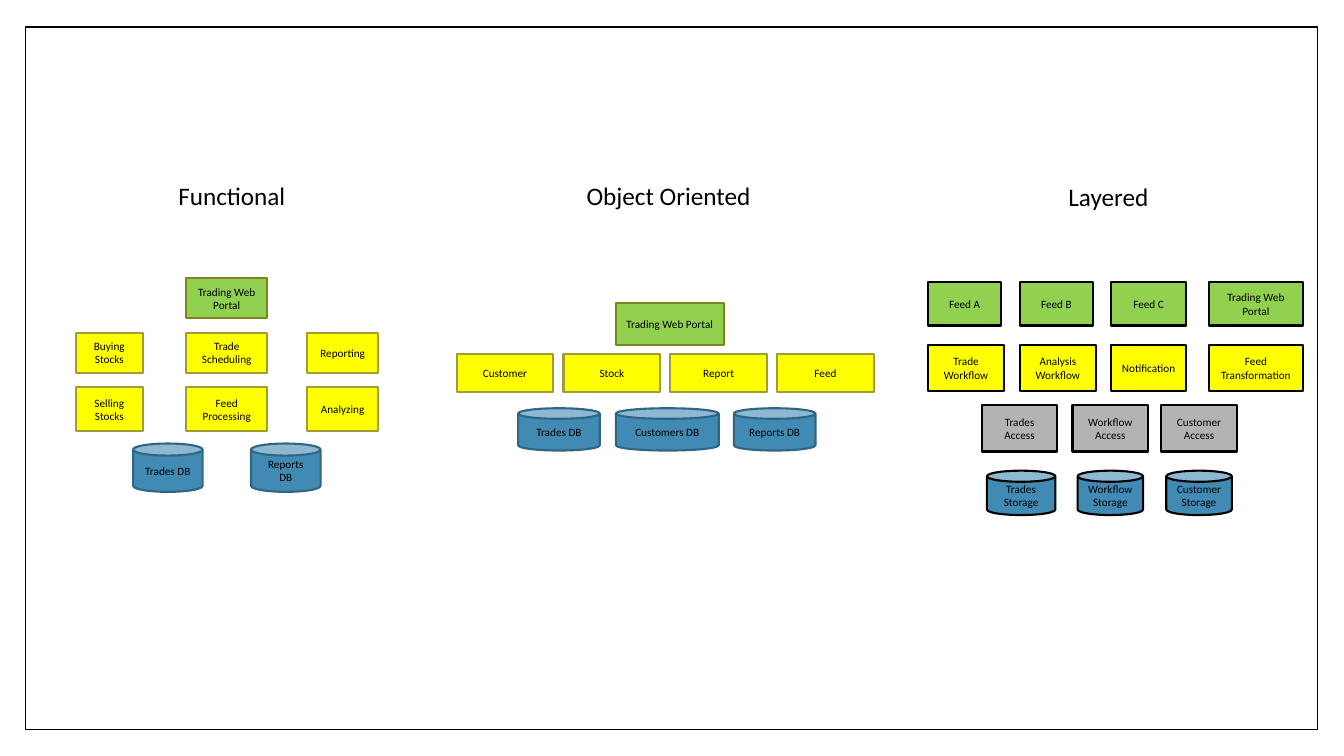
from dataclasses import dataclass

from pptx import Presentation
from pptx.dml.color import RGBColor
from pptx.enum.shapes import MSO_SHAPE
from pptx.enum.text import MSO_ANCHOR, MSO_AUTO_SIZE, PP_ALIGN
from pptx.shapes.autoshape import Shape
from pptx.slide import Slide
from pptx.text.text import TextFrame
from pptx.util import Inches, Pt

RECTANGLE = MSO_SHAPE.RECTANGLE
CYLINDER = MSO_SHAPE.CAN
MIDDLE = MSO_ANCHOR.MIDDLE
FIT_SHAPE = MSO_AUTO_SIZE.SHAPE_TO_FIT_TEXT
LEFT = PP_ALIGN.LEFT
CENTER = PP_ALIGN.CENTER

BLACK = RGBColor(0x00, 0x00, 0x00)
WHITE = RGBColor(0xFF, 0xFF, 0xFF)
GREEN = RGBColor(0x92, 0xD0, 0x50)
YELLOW = RGBColor(0xFF, 0xFF, 0x00)
GRAY = RGBColor(0xB3, 0xB3, 0xB5)
BLUE = RGBColor(0x41, 0x8A, 0xB3)
DARK_GREEN = RGBColor(0x7B, 0x87, 0x1D)
DARK_YELLOW = RGBColor(0x9F, 0x9D, 0x35)
DARK_BLUE = RGBColor(0x30, 0x66, 0x84)

FONT = "Calibri"
COLUMN = ROW = Inches(0.1)
COLUMNS, ROWS = 133.33, 75


@dataclass(frozen=True)
class Style:
    fill: RGBColor
    line: RGBColor
    geometry: MSO_SHAPE = RECTANGLE
    line_width: float = 1.5


@dataclass(frozen=True)
class Span:
    left: float
    width: float


@dataclass(frozen=True)
class Layer:
    top: float
    height: float
    style: Style
    spans: list[Span]
    labels: list[str]


@dataclass(frozen=True)
class Heading:
    text: str
    left: float
    top: float
    width: float


FRAME = Style(WHITE, BLACK, line_width=1)
PORTAL = Style(GREEN, DARK_GREEN)
SERVICE = Style(YELLOW, DARK_YELLOW)
DATABASE = Style(BLUE, DARK_BLUE, CYLINDER)
CLIENT = Style(GREEN, BLACK)
MANAGER = Style(YELLOW, BLACK)
ACCESS = Style(GRAY, BLACK)
STORAGE = Style(BLUE, BLACK, CYLINDER)

FUNCTION_SPANS = [Span(7.5, 6.7), Span(18.5, 8), Span(30.5, 7)]
OBJECT_SPANS = [Span(45.3 + 10.6 * index, 9.6) for index in range(4)]
ACCESS_SPANS = [Span(left, 7.5) for left in (97.4, 106.4, 115.2)]

LAYERS = [
    Layer(27.6, 4, PORTAL, FUNCTION_SPANS[1:2], ["Trading Web Portal"]),
    Layer(33, 4, SERVICE, FUNCTION_SPANS,
          ["Buying Stocks", "Trade Scheduling", "Reporting"]),
    Layer(38.4, 4.4, SERVICE, FUNCTION_SPANS,
          ["Selling Stocks", "Feed Processing", "Analyzing"]),
    Layer(44, 4.8, DATABASE, [Span(13.2, 6.9), Span(24.9, 6.9)],
          ["Trades DB", "Reports DB"]),
    Layer(30.1, 4.1, PORTAL, [Span(61.1, 10.7)], ["Trading Web Portal"]),
    Layer(35.1, 3.8, SERVICE, OBJECT_SPANS,
          ["Customer", "Stock", "Report", "Feed"]),
    Layer(40.5, 4.2, DATABASE,
          [Span(51.4, 8.1), Span(61.1, 10.2), Span(72.8, 8.1)],
          ["Trades DB", "Customers DB", "Reports DB"]),
    Layer(28, 4.3, CLIENT,
          [Span(92.1, 7.2), Span(101.2, 7.2), Span(110.2, 7.5), Span(119.9, 9.4)],
          ["Feed A", "Feed B", "Feed C", "Trading Web Portal"]),
    Layer(34.2, 4.6, MANAGER,
          [Span(92.1, 7.5), Span(101.2, 7.5), Span(110.2, 7.5), Span(119.9, 9.4)],
          ["Trade Workflow", "Analysis Workflow", "Notification", "Feed Transformation"]),
    Layer(40.2, 4.6, ACCESS, ACCESS_SPANS,
          ["Trades Access", "Workflow Access", "Customer Access"]),
    Layer(46.7, 4.4, STORAGE,
          [Span(97.9, 6.8), Span(106.9, 6.5), Span(115.7, 6.5)],
          ["Trades\nStorage", "Workflow\nStorage", "Customer\nStorage"]),
]

HEADINGS = [
    Heading("Functional", 16.7, 17.4, 15.1),
    Heading("Object Oriented", 57.2, 17.4, 18.9),
    Heading("Layered", 105, 17.5, 18.9),
]


def write_text(frame: TextFrame, text: str, size: float, alignment: PP_ALIGN) -> None:
    frame.word_wrap = True
    for index, line in enumerate(text.split("\n")):
        paragraph = frame.add_paragraph() if index else frame.paragraphs[0]
        paragraph.alignment = alignment
        run = paragraph.add_run()
        run.text = line
        run.font.name = FONT
        run.font.size = Pt(size)
        run.font.color.rgb = BLACK


def add_block(slide: Slide, span: Span, top: float, height: float, style: Style) -> Shape:
    shape = slide.shapes.add_shape(
        style.geometry, round(span.left * COLUMN), round(top * ROW),
        round(span.width * COLUMN), round(height * ROW))
    shape.shadow.inherit = False
    shape.fill.solid()
    shape.fill.fore_color.rgb = style.fill
    shape.line.color.rgb = style.line
    shape.line.width = Pt(style.line_width)
    return shape


def add_layer(slide: Slide, layer: Layer) -> None:
    for span, label in zip(layer.spans, layer.labels):
        shape = add_block(slide, span, layer.top, layer.height, layer.style)
        shape.text_frame.vertical_anchor = MIDDLE
        write_text(shape.text_frame, label, 8, CENTER)


def add_heading(slide: Slide, heading: Heading) -> None:
    shape = slide.shapes.add_textbox(
        round(heading.left * COLUMN), round(heading.top * ROW),
        round(heading.width * COLUMN), 4 * ROW)
    write_text(shape.text_frame, heading.text, 18, LEFT)
    shape.text_frame.auto_size = FIT_SHAPE


def main() -> None:
    presentation = Presentation()
    presentation.slide_width = round(COLUMNS * COLUMN)
    presentation.slide_height = ROWS * ROW
    slide = presentation.slides.add_slide(presentation.slide_layouts[6])
    add_block(slide, Span(2.5, 128.2), 2.7, 69.7, FRAME)
    for layer in LAYERS:
        add_layer(slide, layer)
    for heading in HEADINGS:
        add_heading(slide, heading)
    presentation.save("out.pptx")


if __name__ == "__main__":
    main()
